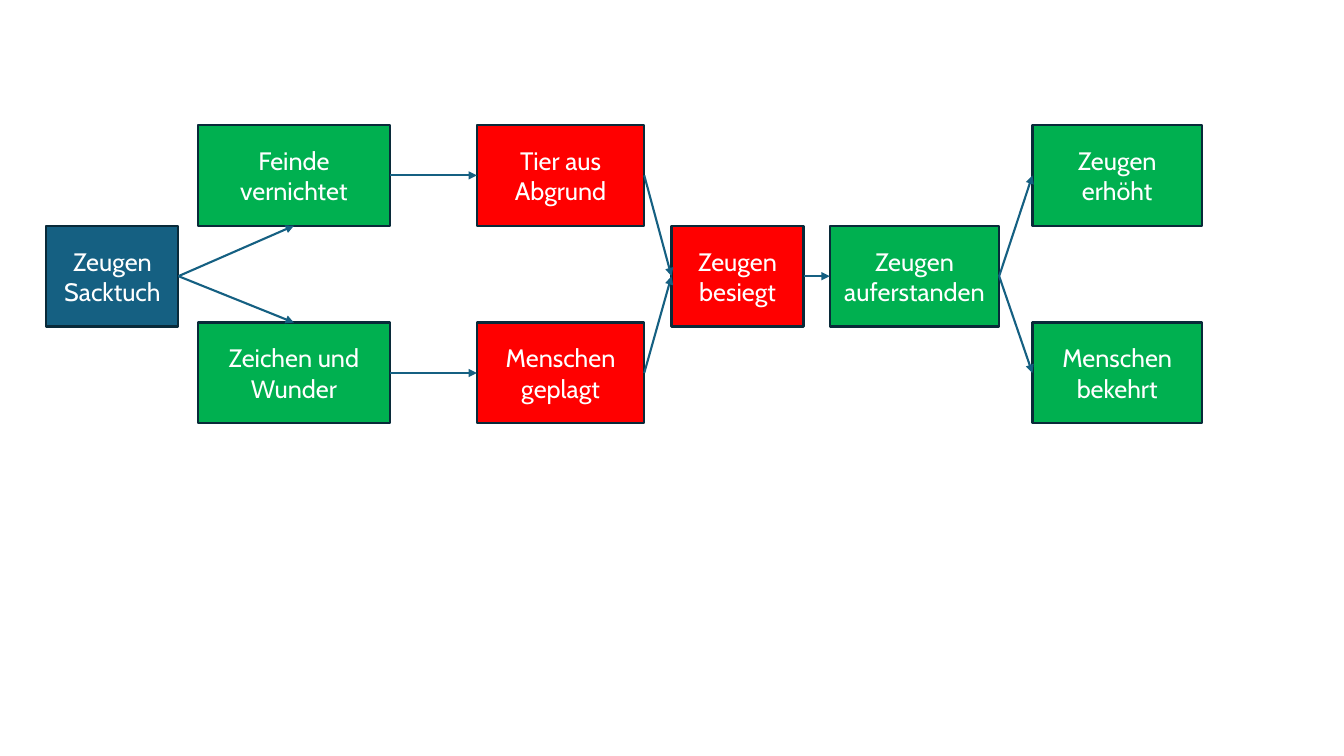
from lxml import etree
from pptx import Presentation
from pptx.dml.color import RGBColor
from pptx.enum import shapes, text
from pptx.oxml.ns import qn
from pptx.util import Inches, Pt

COLORS = {"start": "156082", "good": "00B050", "bad": "FF0000",
          "outline": "092A39", "arrow": "156082", "text": "FFFFFF"}
FONT = "Cabin"
LINE_WIDTH = Pt(1.5)
BOX_HEIGHT = 1

# Grid in inches: left edge and width of each column, top of each row
COLUMNS = [(0.46, 1.31), (1.96, 1.91), (4.73, 1.66),
           (6.66, 1.31), (8.23, 1.68), (10.24, 1.68)]
ROWS = {"top": 1.24, "middle": 2.24, "bottom": 3.2}

# Connection sites of a rectangle
TOP, LEFT, BOTTOM, RIGHT = range(4)

# name: (column, row, colour, paragraphs)
BOXES = {
    "sackcloth": (0, "middle", "start", ["Zeugen", "Sacktuch"]),
    "enemies": (1, "top", "good", ["Feinde vernichtet"]),
    "signs": (1, "bottom", "good", ["Zeichen und Wunder"]),
    "plagued": (2, "bottom", "bad", ["Menschen geplagt"]),
    "defeated": (3, "middle", "bad", ["Zeugen besiegt"]),
    "beast": (2, "top", "bad", ["Tier aus Abgrund"]),
    "risen": (4, "middle", "good", ["Zeugen auferstanden"]),
    "exalted": (5, "top", "good", ["Zeugen erhöht"]),
    "converted": (5, "bottom", "good", ["Menschen", "bekehrt"]),
}

# Every arrow leaves on the right: (from, to, site reached)
ARROWS = [
    ("sackcloth", "signs", TOP),
    ("sackcloth", "enemies", BOTTOM),
    ("signs", "plagued", LEFT),
    ("enemies", "beast", LEFT),
    ("plagued", "defeated", LEFT),
    ("beast", "defeated", LEFT),
    ("defeated", "risen", LEFT),
    ("risen", "exalted", LEFT),
    ("risen", "converted", LEFT),
]


def rgb(name):
    return RGBColor.from_string(COLORS[name])


def set_line(line, color):
    line.color.rgb = rgb(color)
    line.width = LINE_WIDTH


def add_box(slide, column, row, color, lines):
    left, width = COLUMNS[column]
    sp = slide.shapes.add_shape(
        shapes.MSO_SHAPE.RECTANGLE, Inches(left), Inches(ROWS[row]),
        Inches(width), Inches(BOX_HEIGHT))
    sp.shadow.inherit = False
    sp.fill.solid()
    sp.fill.fore_color.rgb = rgb(color)
    set_line(sp.line, "outline")
    tf = sp.text_frame
    tf.word_wrap = True
    tf.vertical_anchor = text.MSO_ANCHOR.MIDDLE
    tf.text = "\n".join(lines)
    for p in tf.paragraphs:
        p.alignment = text.PP_ALIGN.CENTER
        p.font.name = FONT
        p.font.size = Pt(18)
        p.font.color.rgb = rgb("text")
    return sp


def add_arrow(slide, source, target, site):
    """Connect the right side of source to the given site of target."""
    cxn = slide.shapes.add_connector(shapes.MSO_CONNECTOR.STRAIGHT, 0, 0, 0, 0)
    cxn.begin_connect(source, RIGHT)
    cxn.end_connect(target, site)
    set_line(cxn.line, "arrow")
    props = cxn._element.spPr
    etree.SubElement(props.find(qn("a:ln")), qn("a:tailEnd"), type="triangle")
    etree.SubElement(props, qn("a:effectLst"))


def main():
    prs = Presentation()
    prs.slide_width, prs.slide_height = Inches(13.33), Inches(7.5)
    slide = prs.slides.add_slide(prs.slide_layouts[6])
    boxes = {name: add_box(slide, *box) for name, box in BOXES.items()}
    for source, target, site in ARROWS:
        add_arrow(slide, boxes[source], boxes[target], site)
    prs.save("out.pptx")


if __name__ == "__main__":
    main()
